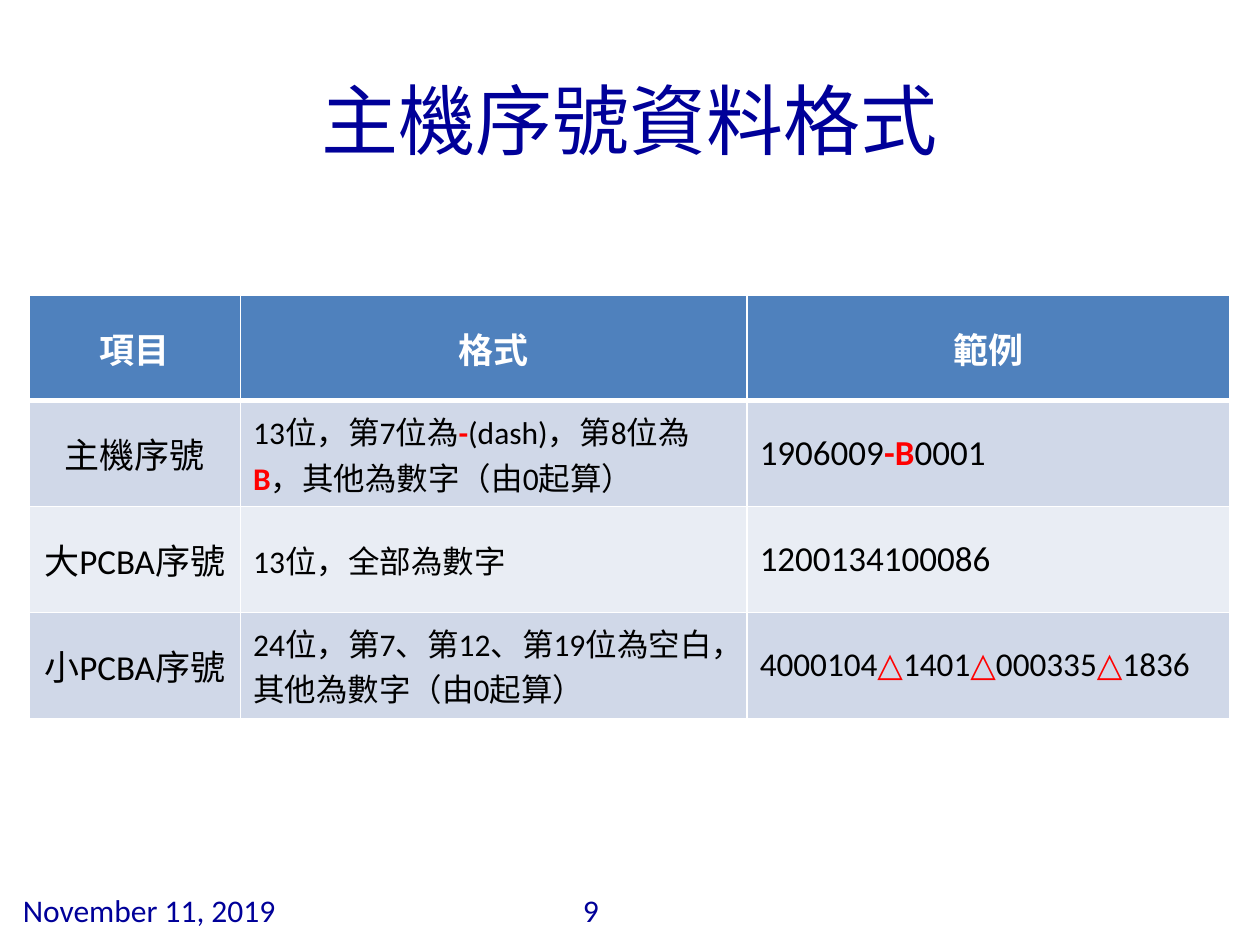
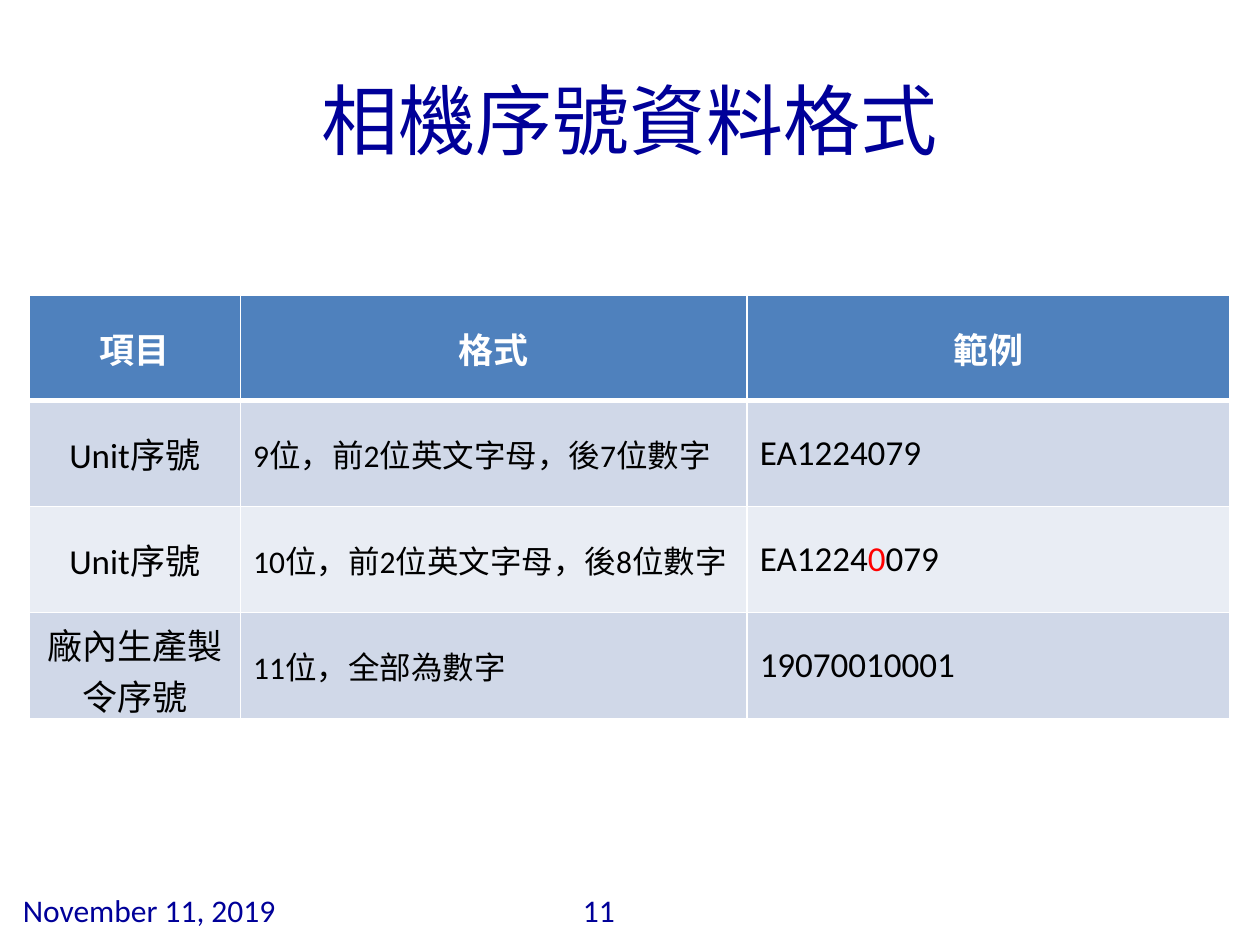
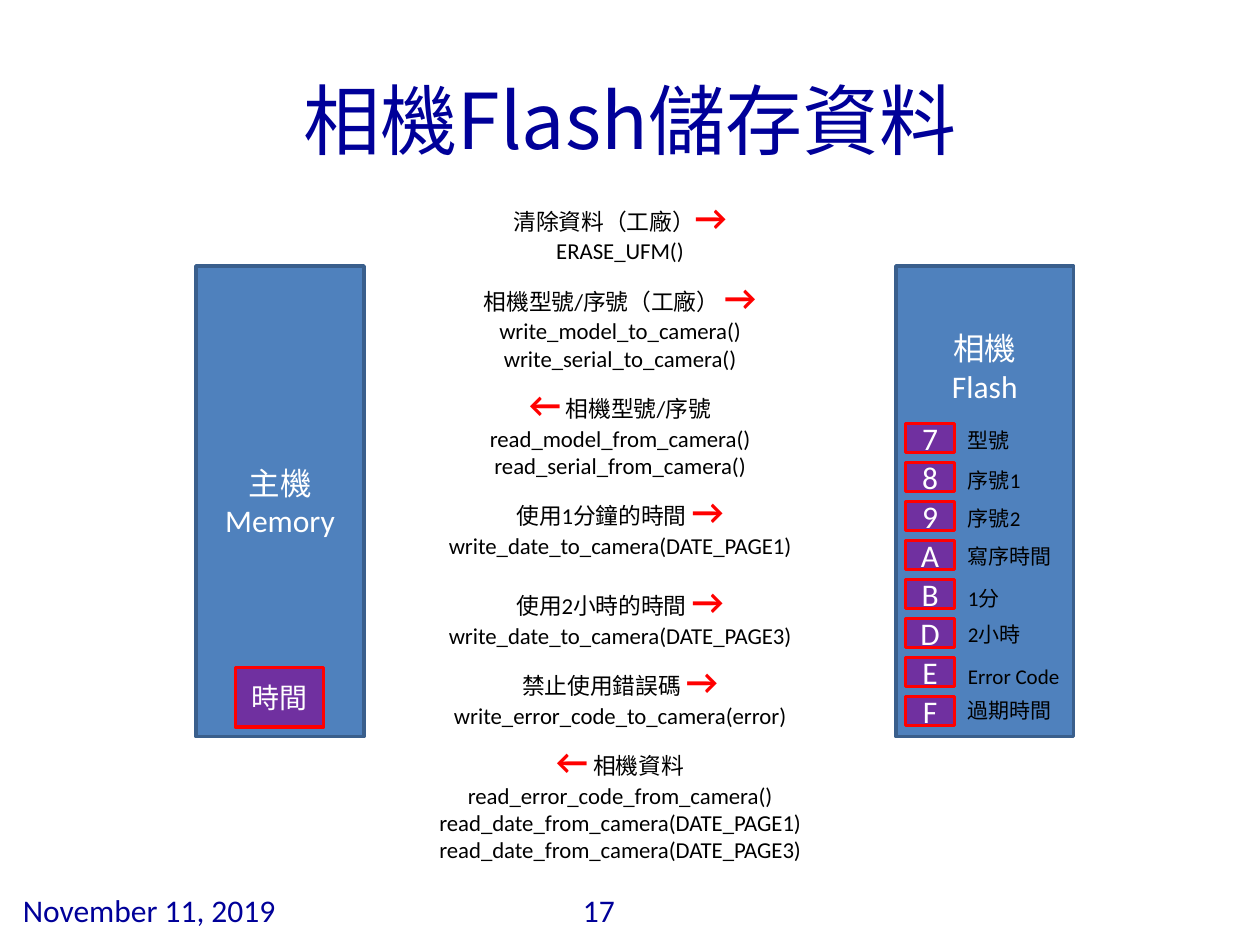
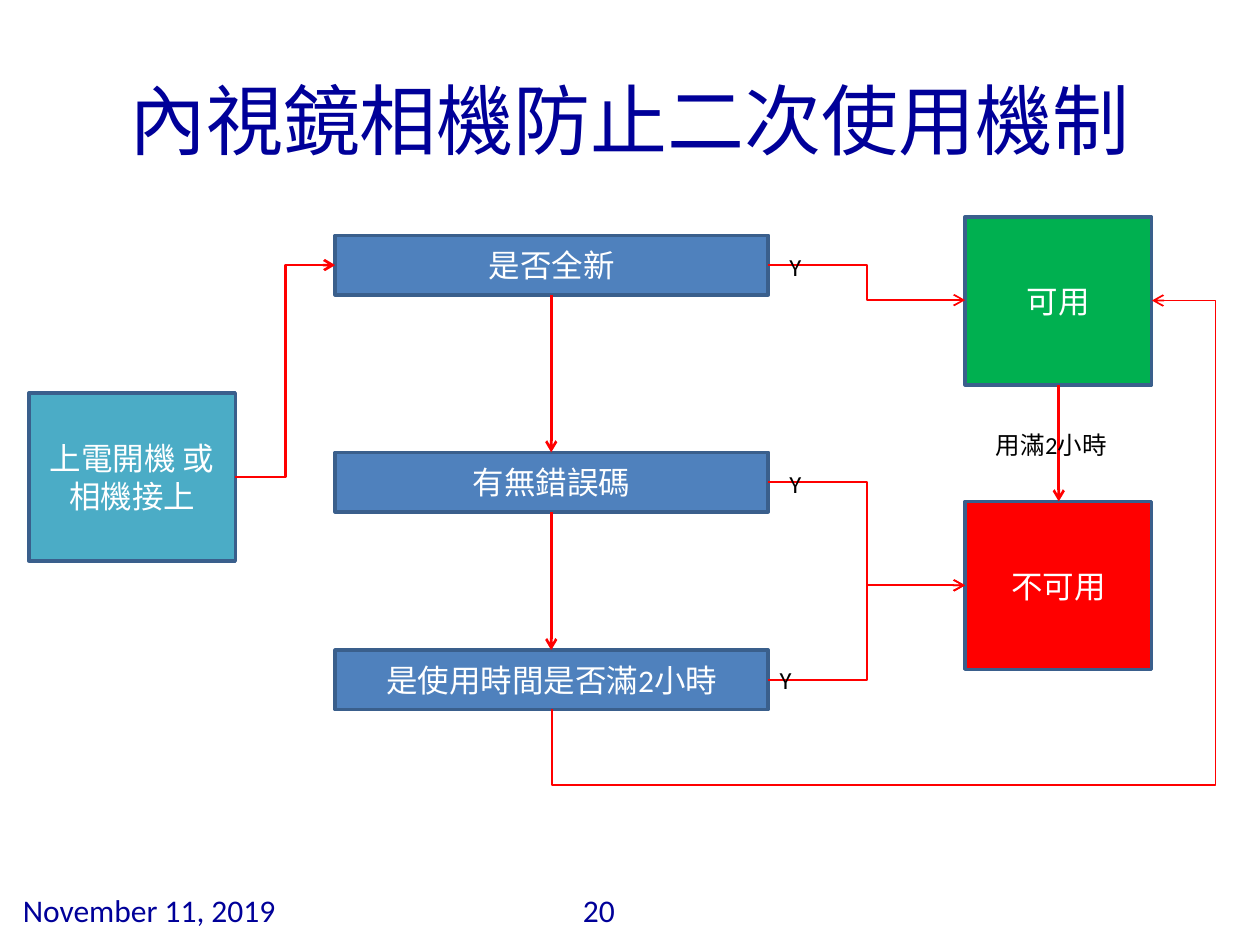
"""Build four slides on serial number formats, camera flash data and reuse prevention."""
from lxml import etree
from pptx import Presentation
from pptx.dml.color import RGBColor
from pptx.enum.shapes import MSO_CONNECTOR, MSO_SHAPE
from pptx.enum.text import MSO_ANCHOR, PP_ALIGN
from pptx.oxml.ns import qn
from pptx.util import Pt

LEFT, CENTER = PP_ALIGN.LEFT, PP_ALIGN.CENTER
TOP, MIDDLE = MSO_ANCHOR.TOP, MSO_ANCHOR.MIDDLE
STRAIGHT, ELBOW = MSO_CONNECTOR.STRAIGHT, MSO_CONNECTOR.ELBOW
RECTANGLE = MSO_SHAPE.RECTANGLE

COLORS = {
    "navy": "000099", "black": "000000", "white": "FFFFFF", "red": "FF0000",
    "blue": "4F81BD", "outline": "3A5F8C", "purple": "7030A0", "green": "00B050",
    "teal": "4BACC6", "band_dark": "D0D8E8", "band_light": "E9EDF4",
}
LATIN, CJK = "Calibri", "Noto Sans CJK SC"
BODY = {"name": LATIN, "size": Pt(18), "bold": False}
TITLE = BODY | {"name": CJK, "size": Pt(44)}
HEADER = BODY | {"size": Pt(20), "bold": True}
ITEM = BODY | {"size": Pt(20)}
STRONG = {"bold": True}
ARROW = {"bold": True, "size": Pt(20)}


def write_text(frame, lines, font=BODY, color="white", align=CENTER, east=LATIN, accent=STRONG):
    """Write (space before, text) lines; parts between asterisks are red with the accent font."""
    for index, (gap, text) in enumerate(lines):
        paragraph = frame.paragraphs[0] if index == 0 else frame.add_paragraph()
        paragraph.alignment = align
        if gap:
            paragraph.space_before = Pt(gap)
        for part, words in enumerate(text.split("*")):
            if not words:
                continue
            marked = part % 2 == 1
            run = paragraph.add_run()
            run.text = words
            for name, value in (font | accent if marked else font).items():
                setattr(run.font, name, value)
            run.font.color.rgb = RGBColor.from_string(COLORS["red" if marked else color])
            east_font = etree.SubElement(run.font._element, qn("a:ea"))
            east_font.set("typeface", east)


def add_box(slide, place, lines, fill=None, line="outline", anchor=MIDDLE, **style):
    """Add a filled rectangle, or a text box when there is no fill."""
    place = [Pt(length) for length in place]
    if fill:
        shape = slide.shapes.add_shape(RECTANGLE, *place)
        shape.shadow.inherit = False
        shape.fill.solid()
        shape.fill.fore_color.rgb = RGBColor.from_string(COLORS[fill])
        shape.line.color.rgb = RGBColor.from_string(COLORS[line])
        shape.line.width = Pt(2)
    else:
        shape = slide.shapes.add_textbox(*place)
    shape.text_frame.word_wrap = True
    shape.text_frame.vertical_anchor = anchor
    write_text(shape.text_frame, lines, **style)
    return shape


presentation = Presentation()
presentation.slide_width, presentation.slide_height = Pt(720), Pt(540)

slides = []
for title, number in [
    ("主機序號資料格式", "9"),
    ("相機序號資料格式", "11"),
    ("相機Flash儲存資料", "17"),
    ("內視鏡相機防止二次使用機制", "20"),
]:
    slide = presentation.slides.add_slide(presentation.slide_layouts[6])
    add_box(slide, (326, 505.5, 39.5, 29), [(0, number)], color="navy", align=LEFT, anchor=TOP)
    add_box(slide, (6, 505.5, 225, 29), [(0, "November 11, 2019")],
            color="navy", align=LEFT, anchor=TOP)
    add_box(slide, (36, 29, 648, 78), [(0, title)], font=TITLE, color="navy", east=CJK)
    slides.append(slide)
host_format_slide, camera_format_slide, flash_slide, reuse_slide = slides

header_row = ("項目", "格式", "範例")
host_rows = [
    header_row,
    ("主機序號", "13位，第7位為*-*(dash)，第8位為*B*，其他為數字（由0起算）", "1906009*-B*0001"),
    ("大PCBA序號", "13位，全部為數字", "1200134100086"),
    ("小PCBA序號", "24位，第7、第12、第19位為空白，其他為數字（由0起算）",
     "4000104*△*1401*△*000335*△*1836"),
]
camera_rows = [
    header_row,
    ("Unit序號", "9位，前2位英文字母，後7位數字", "EA1224079"),
    ("Unit序號", "10位，前2位英文字母，後8位數字", "EA1224*0*079"),
    ("廠內生產製令序號", "11位，全部為數字", "19070010001"),
]
row_fills = ["blue", "band_dark", "band_light", "band_dark"]
column_widths = [121, 289.5, 276]
for slide, rows, accent in [
    (host_format_slide, host_rows, STRONG),
    (camera_format_slide, camera_rows, {}),
]:
    table = slide.shapes.add_table(4, 3, Pt(16.5), Pt(168.5), Pt(686.5), Pt(242)).table
    for column, width in zip(table.columns, column_widths):
        column.width = Pt(width)
    for row_index, row in enumerate(rows):
        table.rows[row_index].height = Pt(60.5)
        for column_index, text in enumerate(row):
            cell = table.cell(row_index, column_index)
            cell.vertical_anchor = MIDDLE
            properties = cell._tc.get_or_add_tcPr()
            for side in "LRTB":
                heavy = (row_index, side) in [(0, "B"), (1, "T")]
                border = etree.SubElement(properties, qn(f"a:ln{side}"), w=str(Pt(3 if heavy else 1)))
                border_fill = etree.SubElement(border, qn("a:solidFill"))
                etree.SubElement(border_fill, qn("a:srgbClr"), val=COLORS["white"])
            cell.fill.solid()
            cell.fill.fore_color.rgb = RGBColor.from_string(COLORS[row_fills[row_index]])
            is_header = row_index == 0
            font = HEADER if is_header else BODY if column_index == 1 else ITEM
            if "△" in text:
                font = ITEM | {"size": Pt(19)}
            write_text(cell.text_frame, [(0, text)], font=font,
                       color="white" if is_header else "black",
                       align=CENTER if is_header or column_index == 0 else LEFT,
                       east=CJK, accent=accent)

add_box(flash_slide, (112, 152, 96, 269), [(0, "主機"), (0, "Memory")], "blue")
camera_box = add_box(flash_slide, (512, 152, 101.5, 269), [(0, "相機"), (0, "Flash")],
                     "blue", anchor=TOP)
camera_box.text_frame.margin_top = Pt(36)

commands = [
    (0, "清除資料（工廠）*→*"),
    (0, "ERASE_UFM()"),
    (6, "相機型號/序號（工廠） *→*"),
    (0, "write_model_to_camera()"),
    (0, "write_serial_to_camera()"),
    (6, "*←* 相機型號/序號"),
    (0, "read_model_from_camera()"),
    (0, "read_serial_from_camera()"),
    (6, "使用1分鐘的時間 *→*"),
    (0, "write_date_to_camera(DATE_PAGE1)"),
    (12, "使用2小時的時間 *→*"),
    (0, "write_date_to_camera(DATE_PAGE3)"),
    (6, "禁止使用錯誤碼 *→*"),
    (0, "write_error_code_to_camera(error)"),
    (6, "*←* 相機資料"),
    (0, "read_error_code_from_camera()"),
    (0, "read_date_from_camera(DATE_PAGE1)"),
    (0, "read_date_from_camera(DATE_PAGE3)"),
]
add_box(flash_slide, (230.5, 108, 247.5, 392.5), commands, anchor=TOP,
        font=BODY | {"size": Pt(13)}, color="black", accent=ARROW)
add_box(flash_slide, (134.5, 381.5, 50.5, 34), [(0, "時間")], "purple", "red",
        font=BODY | {"size": Pt(16)})
for index, page in enumerate("789ABDEF"):
    add_box(flash_slide, (517.5, 242 + 22.3 * index, 28, 16.5), [(0, page)], "purple", "red")
page_labels = [
    (0, "型號"), (8.5, "序號1"), (7.3, "序號2"), (7.3, "寫序時間"),
    (9.8, "1分"), (6.1, "2小時"), (9.8, "Error Code"), (4.9, "過期時間"),
]
add_box(flash_slide, (546, 240.5, 73.5, 175.5), page_labels, anchor=TOP,
        font=BODY | {"size": Pt(12)}, color="black", align=LEFT)

for top, question in [(134.5, "是否全新"), (258.5, "有無錯誤碼"), (371.5, "是使用時間是否滿2小時")]:
    add_box(reuse_slide, (191.5, top, 247.5, 34), [(0, question)], "blue")
for place, text, fill in [
    ((551.5, 124, 106.5, 96), "可用", "green"),
    ((551.5, 286.5, 106.5, 96), "不可用", "red"),
    ((16.5, 224.5, 118, 96), "上電開機 或相機接上", "teal"),
]:
    add_box(reuse_slide, place, [(0, text)], fill)

flows = [
    (STRAIGHT, 1.5, (315, 168.5, 315, 258.5)),
    (STRAIGHT, 1.5, (315, 292.5, 315, 371.5)),
    (STRAIGHT, 1.5, (605, 220, 605, 286.5)),
    (ELBOW, 1.5, (134.5, 272.5, 191.5, 151.5)),
    (ELBOW, 1, (439, 151.5, 551.5, 171.5)),
    (ELBOW, 1, (439, 275.5, 551.5, 334.5)),
    (ELBOW, 1, (439, 388.5, 551.5, 334.5)),
    (ELBOW, 1, (370, 117, 603.5, 460)),
]
for kind, width, ends in flows:
    connector = reuse_slide.shapes.add_connector(kind, *[Pt(length) for length in ends])
    connector.line.color.rgb = RGBColor.from_string(COLORS["red"])
    connector.line.width = Pt(width)
    etree.SubElement(connector.line._get_or_add_ln(), qn("a:tailEnd"), type="arrow")
    etree.SubElement(connector._element.spPr, qn("a:effectLst"))

return_flow = connector._element.spPr
for name, value in {"rot": "5400000", "flipH": "1", "flipV": "1"}.items():
    return_flow.find(qn("a:xfrm")).set(name, value)
geometry = return_flow.find(qn("a:prstGeom"))
geometry.set("prst", "bentConnector4")
adjustments = geometry.find(qn("a:avLst"))
if adjustments is None:
    adjustments = etree.SubElement(geometry, qn("a:avLst"))
for name, value in {"adj1": -18500, "adj2": 110600}.items():
    etree.SubElement(adjustments, qn("a:gd"), name=name, fmla=f"val {value}")

for place, text in [
    ((444, 140.5, 22.5, 24.5), "Y"),
    ((444, 264.5, 22.5, 24.5), "Y"),
    ((438.5, 376.5, 22.5, 24.5), "Y"),
    ((562, 242, 90, 24.5), "用滿2小時"),
]:
    add_box(reuse_slide, place, [(0, text)], anchor=TOP,
            font=BODY | {"size": Pt(14)}, color="black", align=LEFT)

presentation.save("out.pptx")
